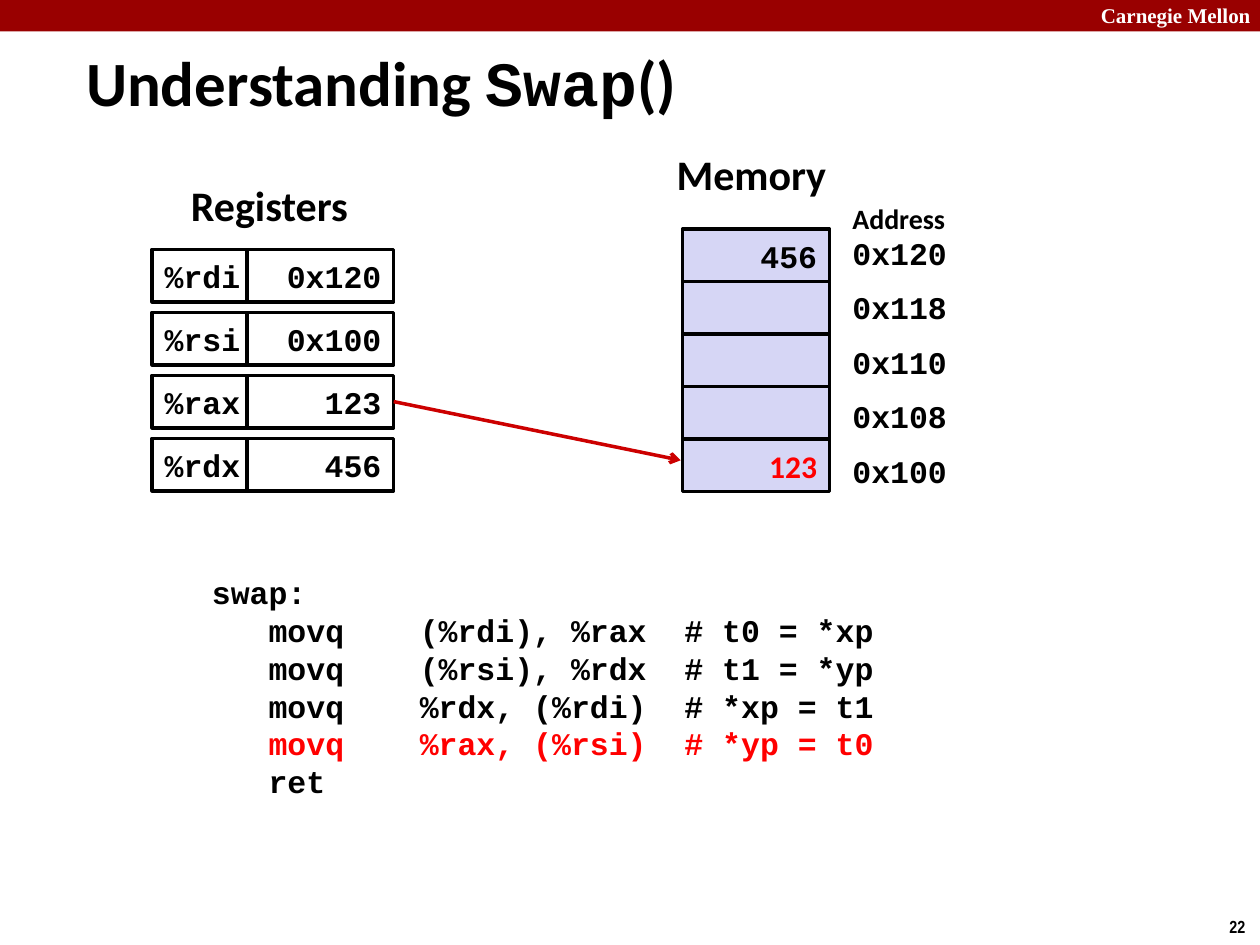
"""Build the slide that traces swap() through registers and memory."""
from lxml import etree
from pptx import Presentation
from pptx import util as u
from pptx.dml.color import RGBColor
from pptx.enum import shapes, text
from pptx.oxml import ns

Pt = u.Pt
COLORS = {"banner": "990000", "white": "FFFFFF", "black": "000000",
          "memory": "D6D6F5", "arrow": "CC0000", "changed": "FF0000"}
SANS, MONO = "Calibri", "Courier New"
CELL_WIDTH, CELL_HEIGHT = 84, 30
REGISTERS = [("%rdi", "0x120"), ("%rsi", "0x100"), ("%rax", "123"), ("%rdx", "456")]
MEMORY = [("456", MONO, "black"), None, None, None, ("123", SANS, "changed")]
ADDRESSES = ["0x120", "0x118", "0x110", "0x108", "0x100"]
CODE = [("swap:", "black"),
        ("   movq    (%rdi), %rax  # t0 = *xp", "black"),
        ("   movq    (%rsi), %rdx  # t1 = *yp", "black"),
        ("   movq    %rdx, (%rdi)  # *xp = t1", "black"),
        ("   movq    %rax, (%rsi)  # *yp = t0", "changed"),
        ("   ret", "black")]


def rgb(name):
    return RGBColor.from_string(COLORS[name])


def apply(target, values):
    for name, value in values.items():
        setattr(target, name, value)


def add_run(paragraph, content, size, font=MONO, color="black"):
    run = paragraph.add_run()
    run.text = content
    apply(run.font, {"name": font, "size": Pt(size), "bold": True})
    run.font.color.rgb = rgb(color)


def add_label(slide, box, lines, size, font=MONO, wrap=True):
    shape = slide.shapes.add_textbox(*map(Pt, box))
    frame = shape.text_frame
    apply(frame, {"word_wrap": wrap, "auto_size": text.MSO_AUTO_SIZE.SHAPE_TO_FIT_TEXT})
    for index, (content, color) in enumerate(lines):
        paragraph = frame.add_paragraph() if index else frame.paragraphs[0]
        add_run(paragraph, content, size, font, color)


def add_box(slide, box, fill, outlined=True):
    shape = slide.shapes.add_shape(shapes.MSO_SHAPE.RECTANGLE, *map(Pt, box))
    shape.shadow.inherit = False
    shape.fill.solid()
    shape.fill.fore_color.rgb = rgb(fill)
    if outlined:
        shape.line.color.rgb = rgb("black")
        shape.line.width = Pt(2)
    else:
        shape.line.fill.background()
    return shape


def add_cell(slide, left, top, width, fill, entry, align=text.PP_ALIGN.RIGHT):
    shape = add_box(slide, (left, top, width, CELL_HEIGHT), fill)
    if entry:
        frame = shape.text_frame
        apply(frame, {"word_wrap": False, "vertical_anchor": text.MSO_ANCHOR.MIDDLE})
        paragraph = frame.paragraphs[0]
        paragraph.alignment = align
        content, font, color = entry
        add_run(paragraph, content, 18, font, color)


def add_arrow(slide, start, end):
    line = slide.shapes.add_connector(shapes.MSO_CONNECTOR.STRAIGHT, *map(Pt, start + end))
    line.line.color.rgb = rgb("arrow")
    line.line.width = Pt(2)
    outline = line.line._get_or_add_ln()
    etree.SubElement(outline, ns.qn("a:tailEnd")).set("type", "arrow")
    etree.SubElement(line._element.spPr, ns.qn("a:effectLst"))


def add_title(slide):
    title = slide.shapes.title
    apply(title, {"left": Pt(42), "top": Pt(24), "width": Pt(502), "height": Pt(45)})
    frame = title.text_frame
    apply(frame, {"word_wrap": True, "auto_size": text.MSO_AUTO_SIZE.NONE,
                  "vertical_anchor": text.MSO_ANCHOR.MIDDLE})
    paragraph = frame.paragraphs[0]
    paragraph.alignment = text.PP_ALIGN.LEFT
    apply_indent = {"marL": Pt(9), "indent": -Pt(9)}
    for name, value in apply_indent.items():
        paragraph._p.get_or_add_pPr().set(name, str(value))
    for content, font in (("Understanding ", SANS), ("Swap", MONO), ("()", SANS)):
        add_run(paragraph, content, 36, font)


def add_registers(slide):
    for row, (name, value) in enumerate(REGISTERS):
        top = 142.5 + 36 * row
        add_cell(slide, 87, top, 54, "white", (name, MONO, "black"), text.PP_ALIGN.LEFT)
        add_cell(slide, 141, top, CELL_WIDTH, "white", (value, MONO, "black"))
    add_label(slide, (102, 99, 107, 36), [("Registers", "black")], 24, SANS, False)


def add_memory(slide):
    for row, (entry, address) in enumerate(zip(MEMORY, ADDRESSES)):
        add_cell(slide, 390, 131 + CELL_HEIGHT * row, CELL_WIDTH, "memory", entry)
        add_label(slide, (480, 130.2 + 31.1 * row, 96, 29), [(address, "black")], 18)
    add_label(slide, (379.5, 81.5, 101, 36), [("Memory", "black")], 24, SANS, False)
    add_label(slide, (480, 111.5, 96, 27), [("Address", "black")], 16, SANS)


def main():
    presentation = Presentation()
    apply(presentation, {"slide_width": Pt(720), "slide_height": Pt(540)})
    slide = presentation.slides.add_slide(presentation.slide_layouts[5])
    add_box(slide, (0, 0, 720, 18), "banner", outlined=False)
    add_label(slide, (622, -2, 103, 22), [("Carnegie Mellon", "white")], 12, "Times New Roman")
    add_label(slide, (695.5, 520, 24.5, 19), [("22", "black")], 10, "Arial Narrow", False)
    add_title(slide)
    add_memory(slide)
    add_registers(slide)
    add_arrow(slide, (225, 229.5), (389, 263))
    add_label(slide, (114, 324, 462, 138), CODE, 18)
    presentation.save("out.pptx")


if __name__ == "__main__":
    main()
